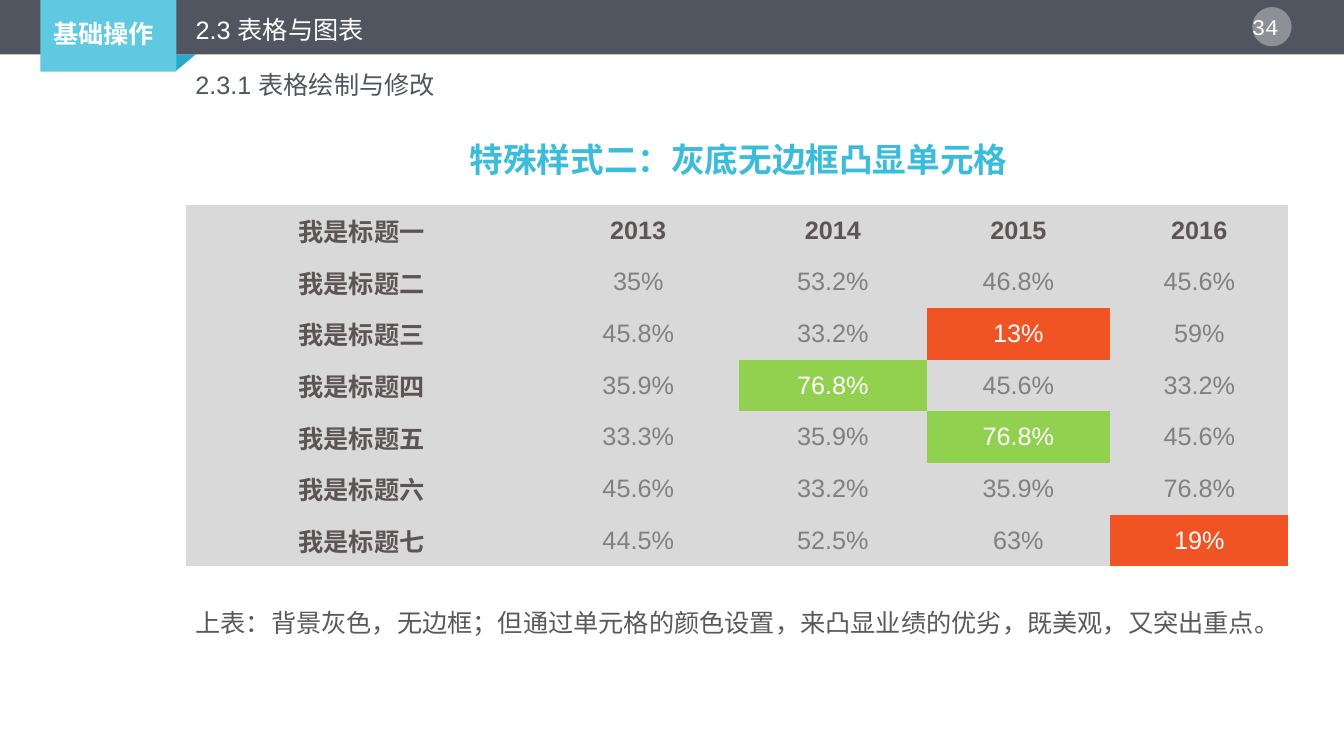
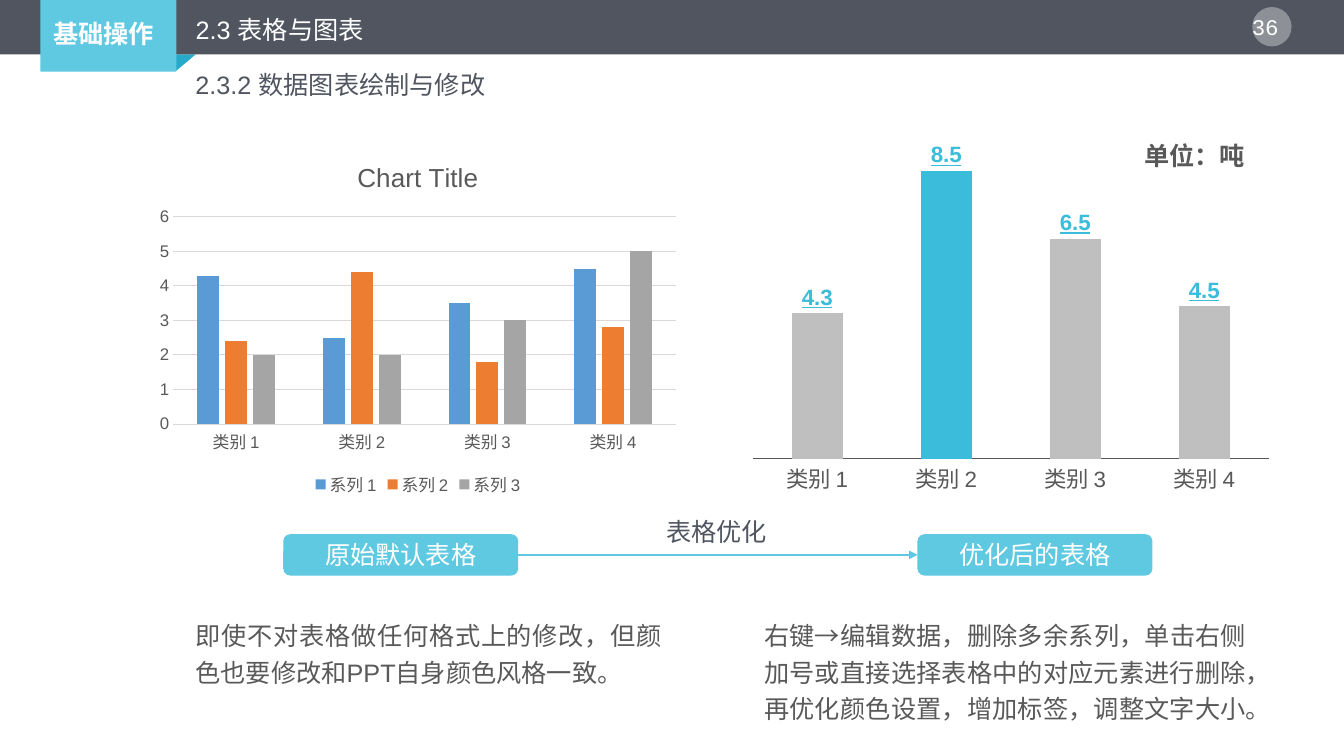
import pptx
import pptx.util
import pptx.dml.color
import pptx.chart.data
import pptx.enum.chart
import pptx.enum.shapes
import pptx.enum.text
import pptx.oxml.ns
import lxml.etree

Inch, Pt = pptx.util.Inches, pptx.util.Pt
Kind = pptx.enum.shapes.MSO_SHAPE
Align = pptx.enum.text.PP_ALIGN
Anchor = pptx.enum.text.MSO_ANCHOR
Enum = pptx.enum.chart

WIDE, HIGH = 13.33, 7.5
LEFT = 1.84
DARK, SKY, DEEP, CYAN = "505560", "5FC9E1", "27AAC9", "3ABCDA"
GREY, PALE, RULE, SILVER, WHITE = "595959", "808080", "D9D9D9", "BFBFBF", "FFFFFF"
HEAD, GOOD, POOR = "5C5555", "92D050", "F05425"
FONT = "Arial"

TAB = "基础操作"
TITLE = "2.3 表格与图表"

GRID = {
    "page": "34 ",
    "topic": ("2.3.1 表格绘制与修改", 2.6),
    "head": "特殊样式二：灰底无边框凸显单元格",
    "cols": (3.49, 2, 1.86, 1.82, 1.77),
    "rows": [
        ("我是标题一", "2013", "2014", "2015", "2016"),
        ("我是标题二", "35%", "53.2%", "46.8%", "45.6%"),
        ("我是标题三", "45.8%", "33.2%", "13%", "59%"),
        ("我是标题四", "35.9%", "76.8%", "45.6%", "33.2%"),
        ("我是标题五", "33.3%", "35.9%", "76.8%", "45.6%"),
        ("我是标题六", "45.6%", "33.2%", "35.9%", "76.8%"),
        ("我是标题七", "44.5%", "52.5%", "63%", "19%"),
    ],
    "marks": {(2, 3): POOR, (3, 2): GOOD, (4, 3): GOOD, (6, 4): POOR},
    "note": "上表：背景灰色，无边框；但通过单元格的颜色设置，来凸显业绩的优劣，既美观，又突出重点。",
}

DUO = {
    "page": "36 ",
    "topic": ("2.3.2 数据图表绘制与修改", 3.11),
    "cats": ["类别 1", "类别 2", "类别 3", "类别 4"],
    "plain": [
        ("系列 1", (4.3, 2.5, 3.5, 4.5), "5B9BD5"),
        ("系列 2", (2.4, 4.4, 1.8, 2.8), "ED7D31"),
        ("系列 3", (2, 2, 3, 5), "A5A5A5"),
    ],
    "tuned": [("Series 1", (4.3, 8.5, 6.5, 4.5), SILVER)],
    "unit": "单位：吨",
    "step": "表格优化",
    "tags": [("原始默认表格", 2.81), ("优化后的表格", 9.1)],
    "notes": [
        (LEFT, 4.83, ["即使不对表格做任何格式上的修改，但颜色也要修改和PPT自身颜色风格一致。"]),
        (7.48, 4.98, ["右键→编辑数据，删除多余系列，单击右侧加号或直接选择表格中的对应元素进行删除，",
                      "再优化颜色设置，增加标签，调整文字大小。"]),
    ],
}


def rgb(code):
    return pptx.dml.color.RGBColor.from_string(code)


def style(font, color, size=18, bold=False, name=FONT):
    font.name, font.size, font.bold = name, Pt(size), bold
    font.color.rgb = rgb(color)


def write(frame, lines, color, size=18, bold=False, name=FONT, align=None, lead=None):
    for i, line in enumerate(lines):
        para = frame.paragraphs[0] if i == 0 else frame.add_paragraph()
        para.alignment, para.line_spacing = align, lead
        run = para.add_run()
        run.text = line
        style(run.font, color, size, bold, name)


def place(shape, box):
    shape.left, shape.top, shape.width, shape.height = map(Inch, box)


def label(slide, box, lines, color, wrap=True, **look):
    shape = slide.shapes.add_textbox(*map(Inch, box))
    shape.text_frame.word_wrap = wrap
    write(shape.text_frame, lines, color, **look)
    return shape


def block(slide, kind, box, color):
    shape = slide.shapes.add_shape(kind, *map(Inch, box))
    shape.shadow.inherit = False
    shape.fill.solid()
    shape.fill.fore_color.rgb = rgb(color)
    shape.line.fill.background()
    return shape


def sub(parent, tag, **attrs):
    return lxml.etree.SubElement(parent, pptx.oxml.ns.qn(tag), attrs)


def dress(layout, slide):
    """Build the shared band on a slide, then move it to the layout."""
    for holder in list(layout.placeholders)[1:]:
        holder._element.getparent().remove(holder._element)
    fold = block(slide, Kind.ISOSCELES_TRIANGLE, (1.56, 0.54, 0.38, 0.16), DEEP)
    fold.rotation = 180
    band = block(slide, Kind.RECTANGLE, (0, 0, WIDE, 0.54), DARK)
    tab = block(slide, Kind.RECTANGLE, (0.4, 0, 1.35, 0.71), SKY)
    disc = block(slide, Kind.OVAL, (12.42, 0.07, 0.39, 0.39), WHITE)
    tint = next(disc._element.spPr.iter(pptx.oxml.ns.qn("a:srgbClr")))
    sub(tint, "a:alpha", val="35000")
    name = label(slide, (0.43, 0.13, 1.21, 0.4), [TAB], WHITE, wrap=False, bold=True)
    for shape in (fold, band, tab, disc, name):
        layout.shapes._spTree.append(shape._element)


def start(slide, data):
    title = slide.shapes.title
    place(title, (LEFT, 0.03, 11.63, 0.46))
    frame = title.text_frame
    frame.word_wrap = True
    frame.auto_size = pptx.enum.text.MSO_AUTO_SIZE.NONE
    frame.vertical_anchor = Anchor.TOP
    write(frame, [TITLE], WHITE, align=Align.LEFT, lead=1.2)
    label(slide, (12.26, 0.08, 0.71, 0.37), [data["page"]], WHITE,
          size=16, name="Courier New", align=Align.CENTER)
    topic, width = data["topic"]
    label(slide, (LEFT, 0.64, width, 0.4), [topic], DARK)


def fill_grid(slide, data):
    rows, cols = data["rows"], data["cols"]
    box = (LEFT, 2.03, sum(cols), 3.59)
    table = slide.shapes.add_table(len(rows), len(cols), *map(Inch, box)).table
    table.first_row = table.horz_banding = False
    look = table._tbl.tblPr.find(pptx.oxml.ns.qn("a:tableStyleId"))
    look.text = "{2D5ABB26-0587-4C30-8999-92F81FD0307C}"
    for col, width in zip(table.columns, cols):
        col.width = Inch(width)
    for r, row in enumerate(rows):
        table.rows[r].height = Inch(box[3] / len(rows))
        for c, text in enumerate(row):
            cell, mark = table.cell(r, c), data["marks"].get((r, c))
            head = r == 0 or c == 0
            cell.fill.solid()
            cell.fill.fore_color.rgb = rgb(mark or RULE)
            cell.vertical_anchor = Anchor.MIDDLE
            color = WHITE if mark else HEAD if head else PALE
            write(cell.text_frame, [text], color, bold=head, align=Align.CENTER)
    label(slide, (LEFT, 5.98, 10.97, 0.4), [data["note"]], GREY)
    label(slide, (4.53, 1.33, 5.59, 0.5), [data["head"]], CYAN, wrap=False,
          size=24, bold=True, align=Align.CENTER)


def columns(slide, left, cats, series, gap, size, rule, top):
    """Add a column chart with the axis look both charts share."""
    data = pptx.chart.data.CategoryChartData()
    data.categories = cats
    for name, vals, _ in series:
        data.add_series(name, vals)
    chart = slide.shapes.add_chart(Enum.XL_CHART_TYPE.COLUMN_CLUSTERED,
                                   *map(Inch, (left, 1.42, 5.33, 3.55)), data).chart
    style(chart.font, GREY, size)
    chart.has_title = chart.has_legend = False
    plot = chart.plots[0]
    plot.gap_width, plot.overlap, plot.vary_by_categories = gap, -27, False
    for bar, (_, _, color) in zip(plot.series, series):
        bar.format.fill.solid()
        bar.format.fill.fore_color.rgb = rgb(color)
    for axis in (chart.category_axis, chart.value_axis):
        axis.major_tick_mark = axis.minor_tick_mark = Enum.XL_TICK_MARK.NONE
        style(axis.tick_labels.font, GREY, size)
    line = chart.category_axis.format.line
    line.color.rgb, line.width = rgb(rule), Pt(0.75)
    scale = chart.value_axis
    scale.minimum_scale, scale.maximum_scale = 0, top
    scale.format.line.fill.background()
    return chart


def draw_plain(slide, data):
    chart = columns(slide, 1.48, data["cats"], data["plain"], 219, 12, RULE, 6)
    chart.has_title = True
    write(chart.chart_title.text_frame, ["Chart Title"], GREY, size=18.6)
    chart.chart_title.include_in_layout = False
    chart.has_legend = True
    chart.legend.position = Enum.XL_LEGEND_POSITION.BOTTOM
    chart.legend.include_in_layout = False
    style(chart.legend.font, GREY, 12)
    chart.value_axis.major_unit = 1
    line = chart.value_axis.major_gridlines.format.line
    line.color.rgb, line.width = rgb(RULE), Pt(0.75)


def draw_tuned(slide, data):
    chart = columns(slide, 7.36, data["cats"], data["tuned"], 153, 16, GREY, 9)
    chart.value_axis.has_major_gridlines = False
    chart.value_axis.visible = False
    bars = chart.plots[0].series[0]
    peak = bars.points[1].format.fill
    peak.solid()
    peak.fore_color.rgb = rgb(CYAN)
    tags = bars.data_labels
    tags.show_value = True
    tags.position = Enum.XL_LABEL_POSITION.OUTSIDE_END
    style(tags.font, CYAN, 16, True)
    tags.font.underline = True


def link(slide, first, last):
    arrow = slide.shapes.add_connector(pptx.enum.shapes.MSO_CONNECTOR.STRAIGHT, 0, 0, 0, 0)
    arrow.begin_connect(first, 3)
    arrow.end_connect(last, 1)
    arrow.line.color.rgb, arrow.line.width = rgb(SKY), Pt(1)
    sub(arrow.line._get_or_add_ln(), "a:tailEnd", type="triangle")
    sub(arrow._element.spPr, "a:effectLst")


def fill_duo(slide, data):
    draw_plain(slide, data)
    draw_tuned(slide, data)
    tags = []
    for text, left in data["tags"]:
        tag = block(slide, Kind.ROUNDED_RECTANGLE, (left, 5.3, 2.33, 0.41), SKY)
        tag.text_frame.vertical_anchor = Anchor.MIDDLE
        write(tag.text_frame, [text], WHITE, align=Align.CENTER)
        tags.append(tag)
    for left, width, lines in data["notes"]:
        label(slide, (left, 6.05, width, 0.83), lines, GREY, align=Align.JUSTIFY, lead=1.2)
    label(slide, (11.25, 1.34, 1.21, 0.4), [data["unit"]], GREY, wrap=False, bold=True)
    link(slide, *tags)
    label(slide, (6.51, 5.07, 1.21, 0.4), [data["step"]], DARK, wrap=False)


def main():
    deck = pptx.Presentation()
    deck.slide_width, deck.slide_height = Inch(WIDE), Inch(HIGH)
    layout = deck.slide_layouts[5]
    for i, (data, fill) in enumerate([(GRID, fill_grid), (DUO, fill_duo)]):
        slide = deck.slides.add_slide(layout)
        if i == 0:
            dress(layout, slide)
        start(slide, data)
        fill(slide, data)
    deck.save("out.pptx")


if __name__ == "__main__":
    main()
